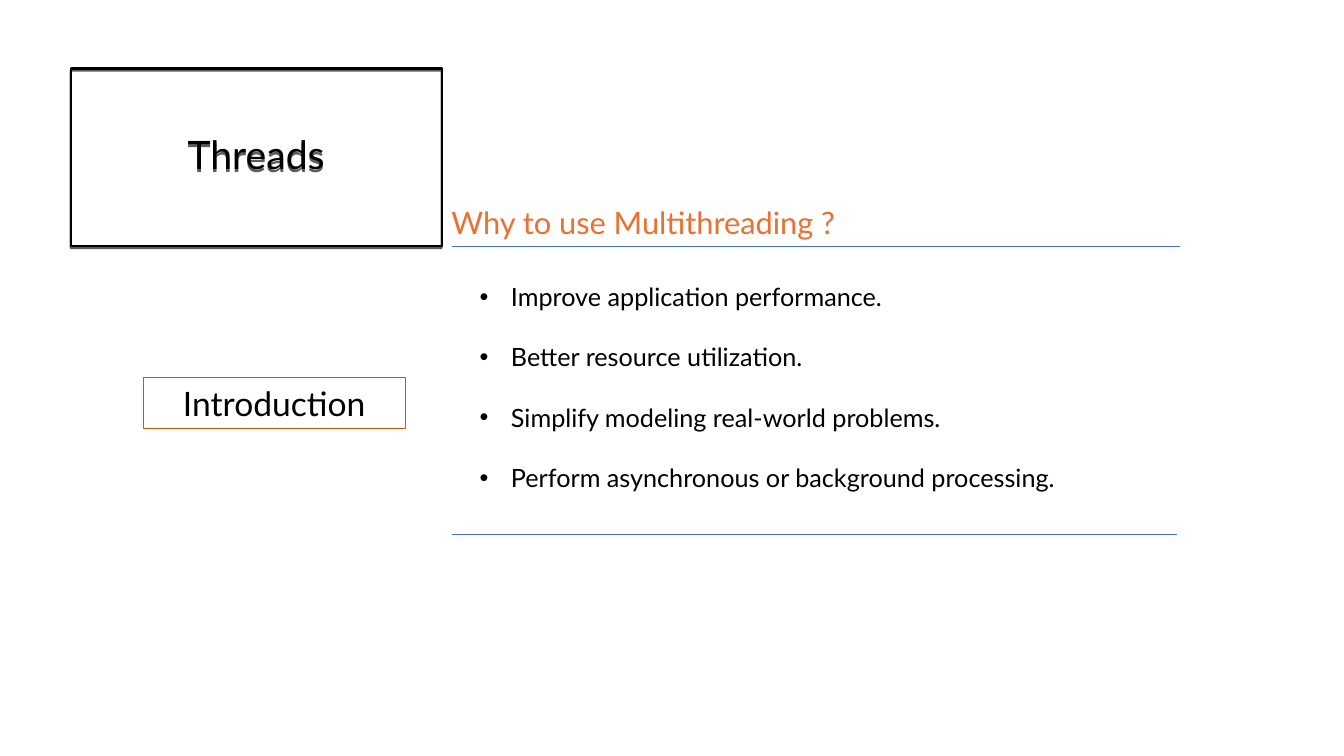
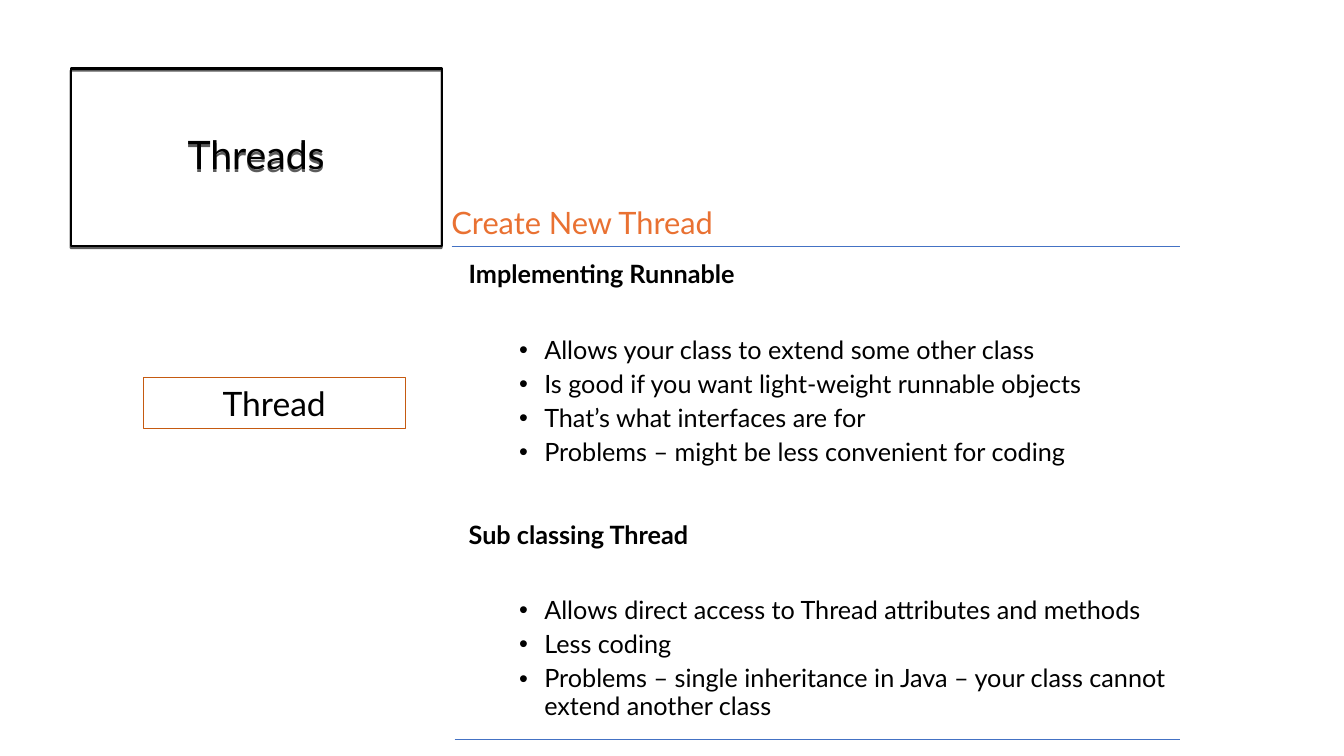
from dataclasses import dataclass

from lxml.etree import SubElement
from pptx import Presentation
from pptx.dml.color import RGBColor
from pptx.enum.shapes import MSO_CONNECTOR, MSO_SHAPE
from pptx.enum.text import MSO_ANCHOR, PP_ALIGN
from pptx.oxml.ns import qn
from pptx.util import Inches, Pt


@dataclass(frozen=True)
class Theme:
    font: str = "Lato"
    ink: str = "000000"
    heading: str = "E97132"
    rule: str = "4472C4"
    topic_border: str = "C55A11"
    title_size: int = 28
    topic_size: int = 24
    heading_size: int = 22
    body_size: int = 18


THEME = Theme()
RULE_LEFT, RULE_RIGHT, HEADING_RULE_TOP = 4.48, 11.7, 2.44

REASONS = [
    "Improve application performance.",
    "Better resource utilization.",
    "Simplify modeling real-world problems.",
    "Perform asynchronous or background processing.",
]
APPROACHES = {
    "Implementing Runnable": [
        "Allows your class to extend some other class",
        "Is good if you want light-weight runnable objects",
        "That’s what interfaces are for",
        "Problems – might be less convenient for coding",
    ],
    "Sub classing Thread": [
        "Allows direct access to Thread attributes and methods",
        "Less coding",
        "Problems – single inheritance in Java – your class cannot extend another class",
    ],
}


def add_bullet(para, margin, hanging):
    properties = para._p.get_or_add_pPr()
    properties.set("marL", str(Inches(margin)))
    properties.set("indent", str(-Inches(hanging)))
    SubElement(properties, qn("a:buFont"), typeface="Arial")
    SubElement(properties, qn("a:buChar"), char="•")


def write(frame, text, *, size=THEME.body_size, color=THEME.ink, bold=False,
          align=PP_ALIGN.LEFT, line_spacing=1.0, before=0, bullet=None):
    """Add a paragraph, using the frame's empty first one when it is free.

    bullet is a (margin, hanging) pair in inches.
    """
    first = frame.paragraphs[0]
    para = frame.add_paragraph() if first.runs else first
    if bullet:
        add_bullet(para, *bullet)
    para.alignment = align
    para.line_spacing = line_spacing
    para.space_before = Pt(before)
    span = para.add_run()
    span.text = text
    span.font.name = THEME.font
    span.font.size = Pt(size)
    span.font.bold = bold
    span.font.color.rgb = RGBColor.from_string(color)


def add_text_box(page, left, top, width, height):
    frame = page.shapes.add_textbox(
        Inches(left), Inches(top), Inches(width), Inches(height)).text_frame
    frame.word_wrap = True
    return frame


def add_outlined_box(page, left, top, width, height, border, weight):
    box = page.shapes.add_shape(
        MSO_SHAPE.RECTANGLE, Inches(left), Inches(top), Inches(width), Inches(height))
    box.shadow.inherit = False
    box.fill.background()
    box.line.color.rgb = RGBColor.from_string(border)
    box.line.width = Pt(weight)
    box.text_frame.word_wrap = True
    box.text_frame.vertical_anchor = MSO_ANCHOR.MIDDLE
    return box


def add_drop_shadow(box):
    """Cast a hard shadow straight down."""
    effects = box._element.spPr.find(qn("a:effectLst"))
    shadow = SubElement(effects, qn("a:outerShdw"), blurRad="0", dist=str(Pt(1.5)),
                        dir="5400000", algn="t", rotWithShape="0")
    color = SubElement(shadow, qn("a:srgbClr"), val=THEME.ink)
    SubElement(color, qn("a:alpha"), val="63000")


def add_rule(page, left, right, top):
    rule = page.shapes.add_connector(
        MSO_CONNECTOR.STRAIGHT, Inches(left), Inches(top), Inches(right), Inches(top))
    rule.line.color.rgb = RGBColor.from_string(THEME.rule)
    rule.line.width = Pt(0.5)
    SubElement(rule._element.spPr, qn("a:effectLst"))


def add_page(deck, topic, heading):
    """Add a slide with the shared title, topic box, heading and rule."""
    page = deck.slides.add_slide(deck.slide_layouts[6])
    title = add_outlined_box(page, 0.7, 0.68, 3.68, 1.76, THEME.ink, 1.5)
    add_drop_shadow(title)
    write(title.text_frame, "Threads", size=THEME.title_size,
          align=PP_ALIGN.CENTER, line_spacing=0.9)
    add_rule(page, RULE_LEFT, RULE_RIGHT, HEADING_RULE_TOP)
    topic_box = add_outlined_box(page, 1.42, 3.75, 2.6, 0.5, THEME.topic_border, 0.75)
    write(topic_box.text_frame, topic, size=THEME.topic_size, align=PP_ALIGN.CENTER)
    write(add_text_box(page, 4.38, 1.97, 6.67, 0.47), heading,
          size=THEME.heading_size, color=THEME.heading)
    return page


def add_reasons_page(deck):
    page = add_page(deck, "Introduction", "Why to use Multithreading ?")
    frame = add_text_box(page, 4.66, 2.74, 6.67, 2.22)
    for index, reason in enumerate(REASONS):
        write(frame, reason, bullet=(0.31, 0.31), before=21.6 if index else 0)
    add_rule(page, RULE_LEFT, 11.67, 5.3)


def add_approaches_page(deck):
    page = add_page(deck, "Thread", "Create New Thread")
    frame = add_text_box(page, 4.55, 2.55, 7.75, 4.66)
    for group, (approach, points) in enumerate(APPROACHES.items()):
        write(frame, approach, bold=True, line_spacing=0.9, before=39.4 if group else 0)
        for index, point in enumerate(points):
            write(frame, point, bullet=(0.75, 0.25), line_spacing=0.9,
                  before=5 if index else 34.4)
    add_rule(page, 4.51, RULE_RIGHT, 7.34)


def main():
    deck = Presentation()
    deck.slide_width, deck.slide_height = Inches(13.33), Inches(7.5)
    add_reasons_page(deck)
    add_approaches_page(deck)
    deck.save("out.pptx")


if __name__ == "__main__":
    main()
